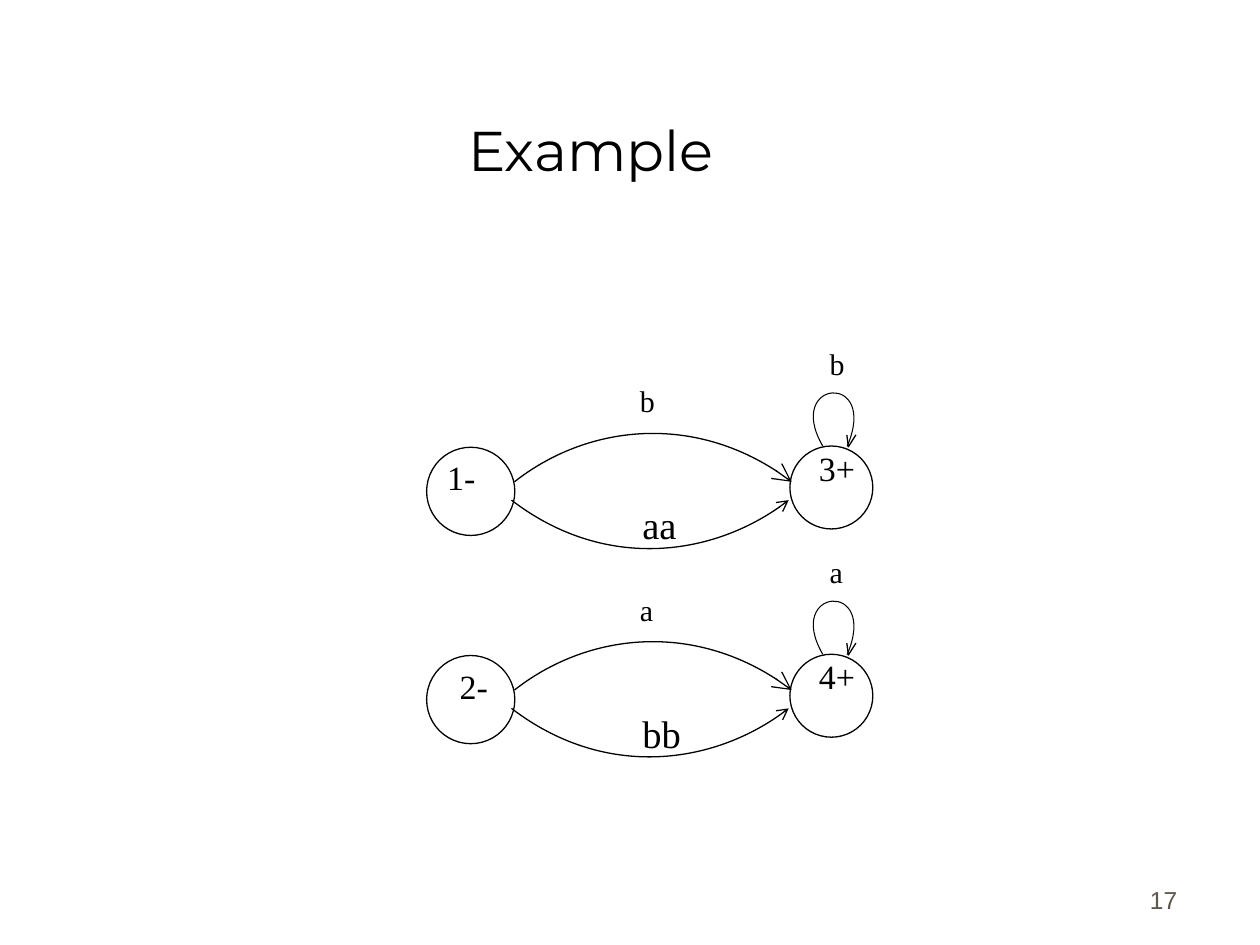
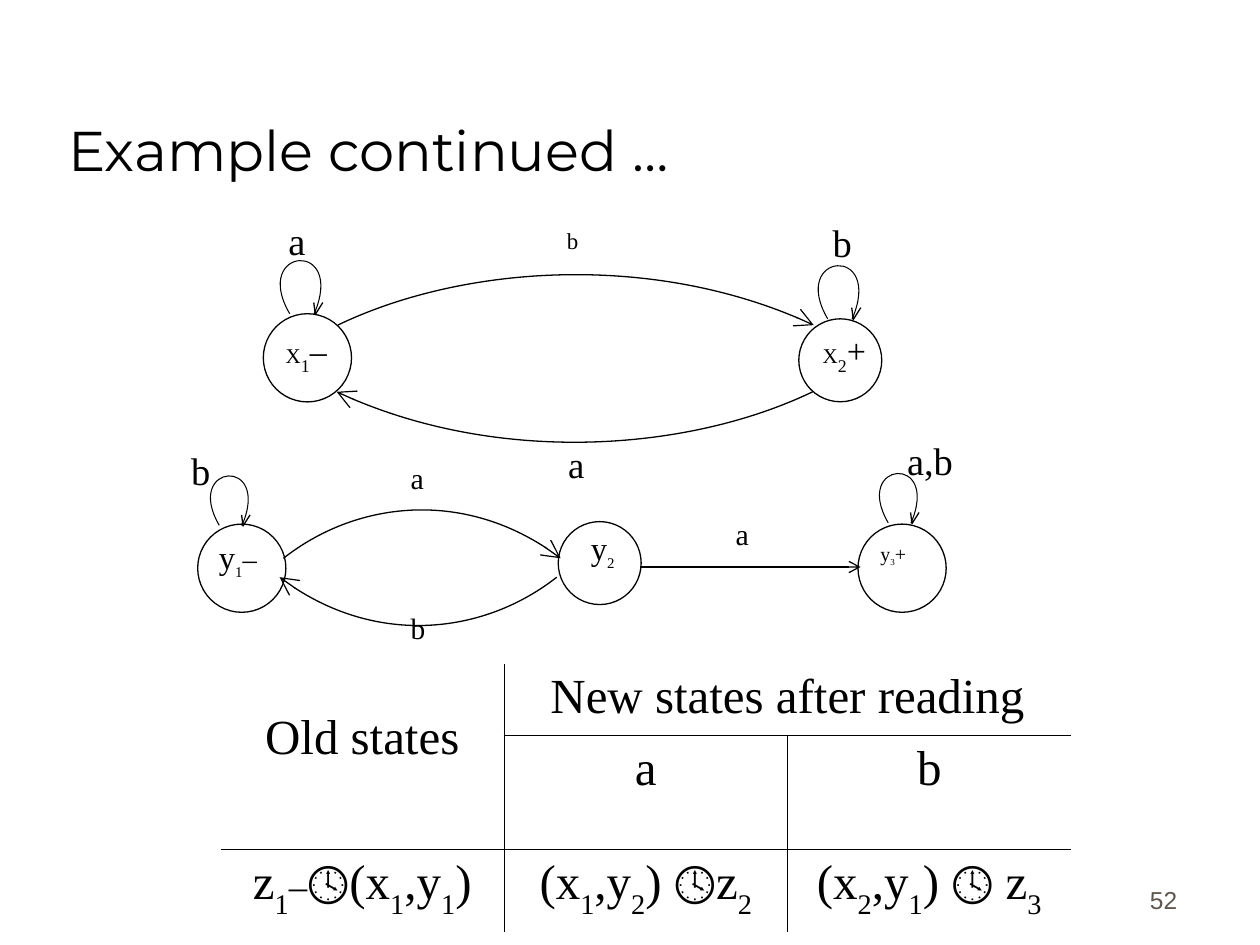
from dataclasses import dataclass
from itertools import repeat

from pptx import Presentation
from pptx import slide as slides
from pptx.dml.color import RGBColor
from pptx.enum import shapes, text
from pptx.oxml import ns, xmlchemy
from pptx.util import Pt

BLACK = RGBColor(0x00, 0x00, 0x00)
WHITE = RGBColor(0xFF, 0xFF, 0xFF)
GREY = RGBColor(0x5E, 0x57, 0x4E)
TITLE_FONT = "Montserrat"
NUMBER_FONT = "Arial"
DIAGRAM_FONT = "Times New Roman"
NO_TABLE_STYLE = "{2D5ABB26-0587-4C30-8999-92F81FD0307C}"
BIG, SMALL = 50.4, 47.4
ARC_WIDTH, ARC_HEIGHT = 158.4, 40
ROW_GAP = 119


def add_child(parent, tag, **attributes):
    """Append an XML element with the given attributes and return it."""
    child = xmlchemy.OxmlElement(tag)
    for name, value in attributes.items():
        child.set(name, value)
    parent.append(child)
    return child


def set_font(font, name, size, color=BLACK):
    """Set the typeface, size and colour of a font."""
    font.name = name
    font.size = Pt(size)
    font.color.rgb = color


def write_runs(paragraph, marked, sizes):
    """Write runs split at bars; a leading underscore makes a subscript."""
    for piece, size in zip(marked.split("|"), sizes):
        run = paragraph.add_run()
        run.text = piece.removeprefix("_")
        set_font(run.font, DIAGRAM_FONT, size)
        if piece.startswith("_"):
            run._r.get_or_add_rPr().set("baseline", "-30000")


def add_arrowhead(shape, end, size):
    """Put an open arrowhead on one end of a line."""
    line = shape._element.spPr.find(ns.qn("a:ln"))
    add_child(line, f"a:{end}End", type="arrow", w=size, len=size)


@dataclass
class Diagram:
    """A state diagram whose parts are placed from its left top corner."""
    slide: slides.Slide
    left: float
    top: float

    def point(self, x, y):
        """Return a position on the slide."""
        return Pt(self.left + x), Pt(self.top + y)

    def state(self, x, y, diameter):
        """Draw the circle of a state."""
        circle = self.slide.shapes.add_shape(
            shapes.MSO_SHAPE.OVAL, *self.point(x, y), Pt(diameter), Pt(diameter))
        circle.shadow.inherit = False
        circle.fill.solid()
        circle.fill.fore_color.rgb = WHITE
        circle.line.color.rgb = BLACK
        circle.line.width = Pt(0.75)

    def label(self, x, y, marked, *sizes, spacing=0.8, width=60):
        """Write a state name or a transition letter."""
        box = self.slide.shapes.add_textbox(*self.point(x, y), Pt(width), Pt(32))
        box.text_frame.word_wrap = True
        paragraph = box.text_frame.paragraphs[0]
        paragraph.line_spacing = spacing
        write_runs(paragraph, marked, sizes)

    def outline(self, points, width=0.75):
        """Draw an open line through the points."""
        start, *others = [self.point(*point) for point in points]
        builder = self.slide.shapes.build_freeform(*start)
        builder.add_line_segments(others, close=False)
        shape = builder.convert_to_shape()
        shape.shadow.inherit = False
        shape.fill.background()
        shape.line.color.rgb = BLACK
        shape.line.width = Pt(width)
        return shape

    def curve(self, points, width=0.75):
        """Draw a cubic curve from a start, two controls and an end."""
        shape = self.outline(points, width)
        segments = list(shape._element.iter(ns.qn("a:lnTo")))
        parent = segments[0].getparent()
        cubic = add_child(parent, "a:cubicBezTo")
        for segment in segments:
            cubic.append(segment[0])
            parent.remove(segment)
        return shape

    def arc(self, x, y, width, height, end="tail", size="lg"):
        """Draw a transition; negative width and height turn it half round."""
        shape = self.curve([(x, y),
                            (x + 0.257 * width, y - 0.8 * height),
                            (x + 0.671 * width, y - height),
                            (x + width, y)])
        add_arrowhead(shape, end, size)

    def loop(self, x, y, scale=1):
        """Draw a transition from a state to itself with its arrowhead."""
        def scaled(offsets):
            return [(x + scale * dx, y + scale * dy) for dx, dy in offsets]

        self.curve(scaled([(0, 0), (-22.3, -38.2), (32.4, -42.8), (13.9, 0.2)]), 0.6)
        self.outline(scaled([(18.9, -6.4), (14.6, 0.4), (13.7, -6.4)]))

    def arrow(self, x, y, length):
        """Draw a level straight transition."""
        line = self.slide.shapes.add_connector(
            shapes.MSO_CONNECTOR.STRAIGHT,
            *self.point(x, y), *self.point(x + length, y))
        line.line.color.rgb = BLACK
        line.line.width = Pt(0.75)
        add_arrowhead(line, "tail", "med")
        add_child(line._element.spPr, "a:effectLst")


def add_titled_slide(presentation, title, number, alignment):
    """Add a slide with its title and page number."""
    slide = presentation.slides.add_slide(presentation.slide_layouts[5])
    heading = slide.shapes.title
    heading.left, heading.top = Pt(31.7), Pt(18)
    heading.width, heading.height = Pt(612), Pt(90)
    heading.text_frame.text = title
    heading.text_frame.vertical_anchor = text.MSO_ANCHOR.BOTTOM
    paragraph = heading.text_frame.paragraphs[0]
    paragraph.alignment = alignment
    set_font(paragraph.font, TITLE_FONT, 32)

    footer = slide.shapes.add_textbox(Pt(530), Pt(490.3), Pt(149.8), Pt(36))
    footer.text_frame.word_wrap = True
    footer.text_frame.vertical_anchor = text.MSO_ANCHOR.BOTTOM
    paragraph = footer.text_frame.paragraphs[0]
    paragraph.text = number
    paragraph.alignment = text.PP_ALIGN.RIGHT
    set_font(paragraph.font, NUMBER_FONT, 14, GREY)
    return slide


def add_branch(slide, left, top, start, start_x, final, letter, pair):
    """Draw a start state with two ways to a looping final state."""
    diagram = Diagram(slide, left, top)
    diagram.state(0.8, 57.6, BIG)
    diagram.state(208.4, 56.9, SMALL)
    diagram.arc(51, 77.3, ARC_WIDTH, ARC_HEIGHT)
    diagram.arc(207.7, 87.8, -ARC_WIDTH, -ARC_HEIGHT, end="head", size="med")
    diagram.loop(227.2, 56.9)
    diagram.label(start_x, 64, start, 19.4)
    diagram.label(217.8, 58.6, final, 19.4)
    diagram.label(115.6, 21.2, letter, 17.1)
    diagram.label(224, 0, letter, 17.1)
    diagram.label(117, 85, pair, 22, spacing=1)


def add_x_machine(slide, left, top):
    """Draw the machine with two x states."""
    diagram = Diagram(slide, left, top)
    diagram.state(0.5, 59.3, BIG)
    diagram.state(306.5, 62.2, SMALL)
    diagram.arc(43, 65.8, 272, 42)
    diagram.arc(314.4, 103.9, -272, -42)
    diagram.loop(15.6, 59.3)
    diagram.loop(323, 62.2)
    diagram.label(6.2, 64.8, "X|_1|–", 12, 17.6, 19.4, spacing=0.9, width=70)
    diagram.label(313, 64.8, "X|_2|+", 12, 17.6, 19.4, spacing=0.9, width=70)
    diagram.label(7.7, 0.2, "a", 22, spacing=1)
    diagram.label(318.7, 1.7, "b", 22, spacing=1)
    diagram.label(166.8, 8.9, "b", 13.1)
    diagram.label(167.5, 129, "a", 21, spacing=1)


def add_y_machine(slide, left, top):
    """Draw the machine with three y states."""
    diagram = Diagram(slide, left, top)
    diagram.state(11, 53.5, BIG)
    diagram.state(217, 52.1, SMALL)
    diagram.state(388.3, 53.5, BIG)
    diagram.arc(60, 73, ARC_WIDTH, ARC_HEIGHT)
    diagram.arc(216.2, 83.8, -ARC_WIDTH, -ARC_HEIGHT)
    diagram.arrow(263.8, 78, 126)
    diagram.loop(23.3, 54.2, 0.93)
    diagram.loop(405.6, 52.8, 0.93)
    diagram.label(16, 60, "y|_1|–", 18.6, 14.7, 16.3)
    diagram.label(228.5, 55, "y|_2", 18.6, 14.7)
    diagram.label(394, 61.4, "y|_3|+", 11.4, 9, 11.4)
    diagram.label(0.2, 6, "b", 22, spacing=1)
    diagram.label(409.2, 0.2, "a,b", 22, spacing=1, width=70)
    diagram.label(125.5, 16.8, "a", 17.1)
    diagram.label(125.5, 103.2, "b", 16.8)
    diagram.label(311.3, 49.2, "a", 17.1)


def set_borders(cell, row, column):
    """Rule the inner lines of the state table on one cell."""
    sides = {
        "L": column == 1 or (column == 2 and row > 0),
        "R": column == 0 or (column == 1 and row > 0),
        "T": row == 2 or (row == 1 and column > 0),
        "B": row < 2,
    }
    properties = cell._tc.get_or_add_tcPr()
    for side in [side for side, ruled in sides.items() if ruled]:
        line = add_child(properties, f"a:ln{side}", w=str(Pt(0.45)))
        add_child(add_child(line, "a:solidFill"), "a:srgbClr", val=str(BLACK))


def add_state_table(slide, left, top):
    """Add the table of old and new states."""
    rows = [
        ["Old states", "New states after reading", ""],
        ["", "a", "b"],
        ["z|_1|–|🕓(x|_1|,y|_1|)", "(x|_1|,y|_2|) 🕓z|_2", "(x|_2|,y|_1|) 🕓 z|_3"],
    ]
    frame = slide.shapes.add_table(3, 3, Pt(left), Pt(top), Pt(486), Pt(153))
    table = frame.table
    next(table._tbl.iter(ns.qn("a:tableStyleId"))).text = NO_TABLE_STYLE
    for table_row, height in zip(table.rows, (41, 65, 47)):
        table_row.height = Pt(height)
    for column in table.columns:
        column.width = Pt(162)
    for row, words in enumerate(rows):
        for column, marked in enumerate(words):
            cell = table.cell(row, column)
            set_borders(cell, row, column)
            cell.fill.background()
            paragraph = cell.text_frame.paragraphs[0]
            paragraph.alignment = text.PP_ALIGN.CENTER
            if marked:
                sizes = (28, 28, 21) if "|–|" in marked else ()
                write_runs(paragraph, marked, [*sizes, *repeat(28, 8)])
    table.cell(0, 0).merge(table.cell(1, 0))
    table.cell(0, 1).merge(table.cell(0, 2))
    table.cell(0, 0).margin_top = Pt(26.6)


def add_branches_slide(presentation):
    """Add the slide with two branching machines."""
    slide = add_titled_slide(presentation, "Example", "17", text.PP_ALIGN.CENTER)
    branches = [("1-", 5.4, "3+", "b", "aa"), ("2-", 12.6, "4+", "a", "bb")]
    for index, branch in enumerate(branches):
        add_branch(slide, 243, 198 + index * ROW_GAP, *branch)


def add_product_slide(presentation):
    """Add the slide with two machines and their joint states."""
    slide = add_titled_slide(
        presentation, "Example continued …", "52", text.PP_ALIGN.LEFT)
    add_x_machine(slide, 150, 120)
    add_y_machine(slide, 102, 246)
    add_state_table(slide, 126, 379.4)


def main():
    """Build and save the presentation."""
    presentation = Presentation()
    presentation.slide_width, presentation.slide_height = Pt(720), Pt(540)
    add_branches_slide(presentation)
    add_product_slide(presentation)
    presentation.save("out.pptx")


if __name__ == "__main__":
    main()
